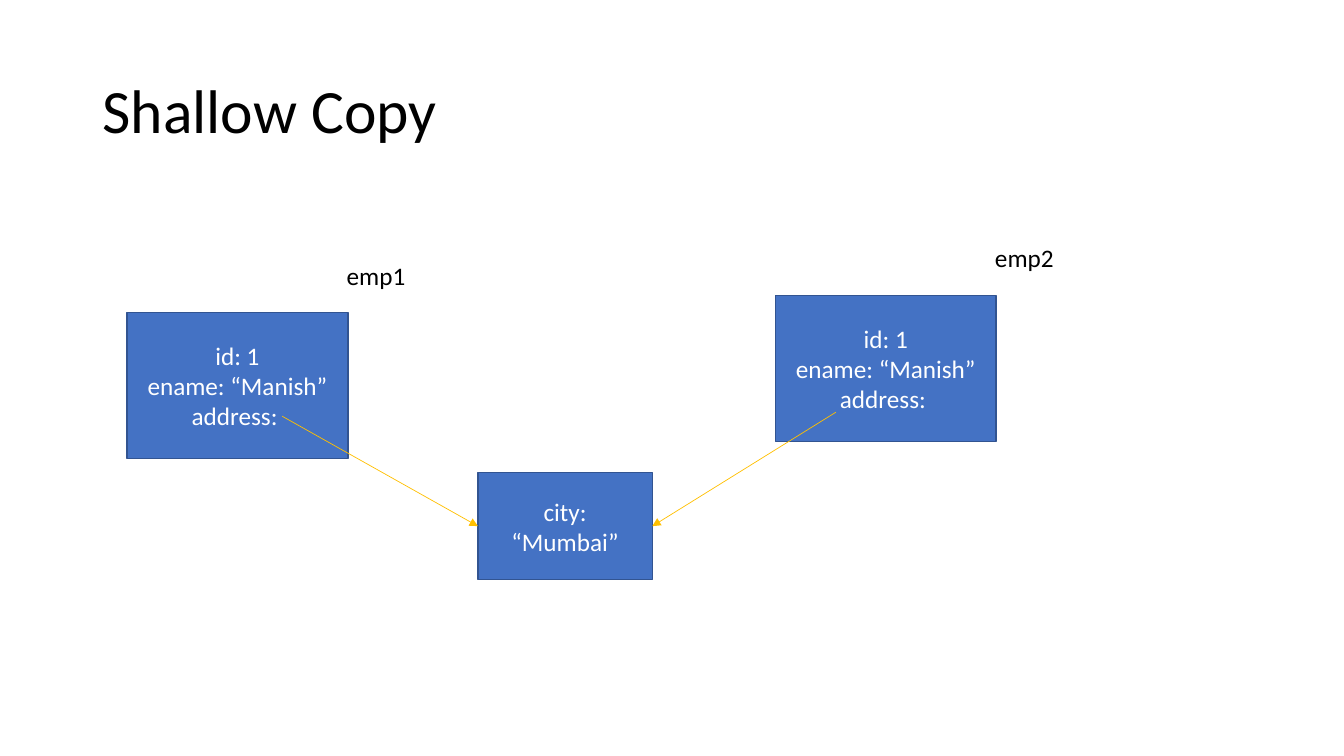
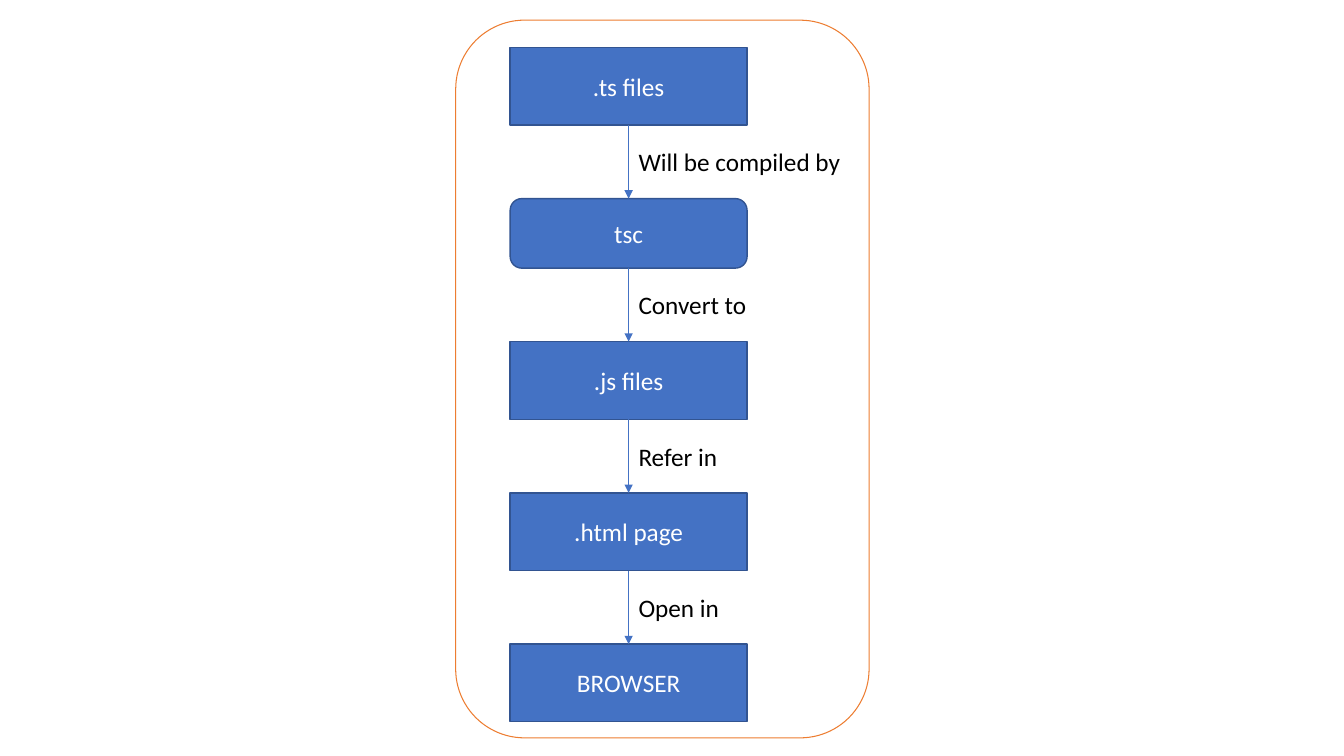
from lxml.etree import SubElement
from pptx import Presentation
from pptx.dml.color import RGBColor
from pptx.enum.shapes import MSO_CONNECTOR, MSO_SHAPE
from pptx.enum.text import MSO_ANCHOR, PP_ALIGN
from pptx.oxml.ns import qn
from pptx.util import Inches, Pt

BLUE = RGBColor(0x44, 0x72, 0xC4)
DARK_BLUE = RGBColor(0x32, 0x54, 0x91)
GOLD = RGBColor(0xFF, 0xC0, 0x00)
ORANGE = RGBColor(0xED, 0x7D, 0x31)
BLACK = RGBColor(0x00, 0x00, 0x00)
WHITE = RGBColor(0xFF, 0xFF, 0xFF)

FONT = "Calibri"
LABEL_HEIGHT = 0.4
TOP, LEFT, BOTTOM, RIGHT = range(4)


def write(shape, text, size=18, color=BLACK, align=PP_ALIGN.LEFT,
          anchor=MSO_ANCHOR.TOP, wrap=True, spacing=None):
    """Fill the shape with text, one paragraph per line."""
    frame = shape.text_frame
    frame.word_wrap = wrap
    frame.vertical_anchor = anchor
    for index, line in enumerate(text.split("\n")):
        para = frame.add_paragraph() if index else frame.paragraphs[0]
        para.alignment = align
        para.line_spacing = spacing
        span = para.add_run()
        span.text = line
        span.font.name = FONT
        span.font.size = Pt(size)
        span.font.color.rgb = color


def add_text(page, text, left, top, width, height=LABEL_HEIGHT, **style):
    box = page.shapes.add_textbox(
        Inches(left), Inches(top), Inches(width), Inches(height))
    write(box, text, **style)


def add_box(page, text, left, top, width, height, kind=MSO_SHAPE.RECTANGLE):
    box = page.shapes.add_shape(
        kind, Inches(left), Inches(top), Inches(width), Inches(height))
    box.shadow.inherit = False
    box.fill.solid()
    box.fill.fore_color.rgb = BLUE
    box.line.color.rgb = DARK_BLUE
    box.line.width = Pt(1)
    write(box, text, color=WHITE, align=PP_ALIGN.CENTER,
          anchor=MSO_ANCHOR.MIDDLE)
    return box


def add_arrow(page, color, target, side, start=(0, 0), source=None):
    """Point at a side of target, from a start in inches or below source."""
    arrow = page.shapes.add_connector(
        MSO_CONNECTOR.STRAIGHT, Inches(start[0]), Inches(start[1]), 0, 0)
    if source is not None:
        arrow.begin_connect(source, BOTTOM)
    arrow.end_connect(target, side)
    arrow.line.color.rgb = color
    arrow.line.width = Pt(0.5)
    properties = arrow._element.spPr
    SubElement(properties.find(qn("a:ln")), qn("a:tailEnd"), type="triangle")
    SubElement(properties, qn("a:effectLst"))


def add_employee(page, name, left, top, address, side, pointer):
    """Draw an employee whose pointer, relative to its box, leads to address."""
    add_box(page, "id: 1\nename: “Manish”\naddress: ", left, top, 2.19, 1.45)
    add_text(page, name, left + 2.08, top - 0.57, 0.79, wrap=False)
    start = (left + pointer[0], top + pointer[1])
    add_arrow(page, GOLD, address, side, start=start)


def build_shallow_copy(page):
    add_text(page, "Shallow Copy", 0.92, 0.4, 11.5, 1.45, size=44,
             anchor=MSO_ANCHOR.MIDDLE, spacing=0.9)
    address = add_box(page, "city: “Mumbai”", 4.74, 4.69, 1.73, 1.06)
    add_employee(page, "emp1", 1.26, 3.1, address, LEFT, (1.54, 1.03))
    add_employee(page, "emp2", 7.69, 2.93, address, RIGHT, (0.6, 1.16))


def add_flow(page, steps, left, top, width, gap):
    """Stack the steps downwards, each led to by a labelled arrow."""
    previous = None
    for label, text, kind, height in steps:
        box = add_box(page, text, left, top, width, height, kind)
        if previous is not None:
            add_arrow(page, BLUE, box, TOP, source=previous)
            add_text(page, label, left + width / 2,
                     top - (gap + LABEL_HEIGHT) / 2, 2.23, wrap=False)
        previous = box
        top += height + gap


def add_frame(page, left, top, width, height):
    frame = page.shapes.add_shape(
        MSO_SHAPE.ROUNDED_RECTANGLE,
        Inches(left), Inches(top), Inches(width), Inches(height))
    frame.shadow.inherit = False
    frame.fill.background()
    frame.line.color.rgb = ORANGE
    frame.line.width = Pt(0.75)


def build_compile_flow(page):
    square, rounded = MSO_SHAPE.RECTANGLE, MSO_SHAPE.ROUNDED_RECTANGLE
    steps = [
        ("", ".ts files", square, 0.77),
        ("Will be compiled by", "tsc", rounded, 0.69),
        ("Convert to", ".js files", square, 0.77),
        ("Refer in", ".html page", square, 0.77),
        ("Open in", "BROWSER", square, 0.77),
    ]
    left, top = 4.52, 0.2
    add_flow(page, steps, left + 0.54, top + 0.27, width=2.35, gap=0.73)
    add_frame(page, left, top, 4.1, 7.12)


def main():
    deck = Presentation()
    deck.slide_width = Inches(13.33)
    deck.slide_height = Inches(7.5)
    for build in (build_shallow_copy, build_compile_flow):
        build(deck.slides.add_slide(deck.slide_layouts[6]))
    deck.save("out.pptx")


if __name__ == "__main__":
    main()
